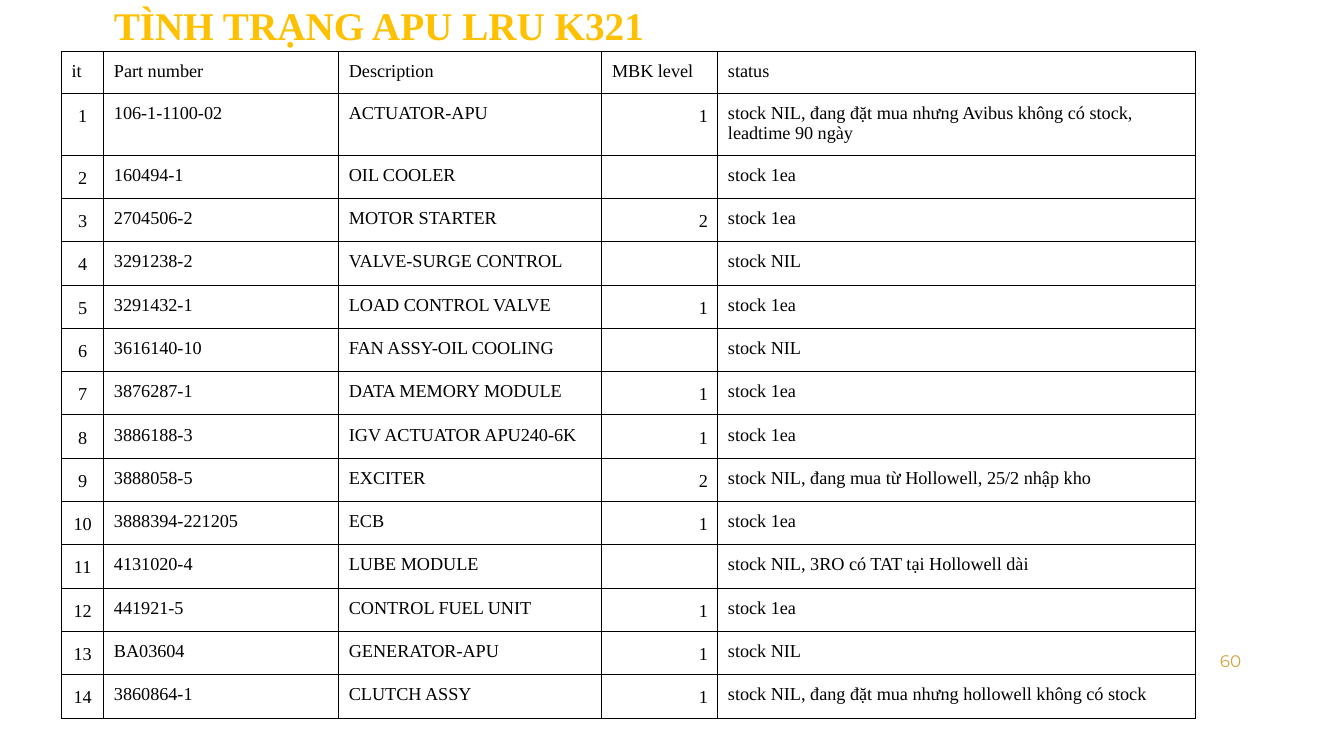
from dataclasses import dataclass

from lxml import etree
from pptx import Presentation
from pptx.dml.color import RGBColor
from pptx.enum.text import MSO_ANCHOR, PP_ALIGN
from pptx.oxml.ns import qn
from pptx.util import Inches, Pt

LEFT, MID, RIGHT = PP_ALIGN.LEFT, PP_ALIGN.CENTER, PP_ALIGN.RIGHT
CENTER = MSO_ANCHOR.MIDDLE

WIDE, HIGH = Inches(13.33), Inches(7.5)
SERIF, SANS = "Times New Roman", "Montserrat"
BLACK, AMBER, GOLD = "000000", "FFC000", "D2A43B"
PAD, FOOT = Inches(0.1), Inches(0.08)
SIZE = 13


@dataclass(frozen=True)
class Label:
    """Text box; its place is in percent of the slide."""
    text: str
    left: float
    top: float
    width: float
    height: float
    font: str
    size: int
    color: str
    bold: bool = False
    align: PP_ALIGN = LEFT
    space: float = 1.0


@dataclass(frozen=True)
class Col:
    """Table column; its width is in percent of the slide."""
    head: str
    width: float
    align: PP_ALIGN = LEFT
    space: float = 1.0


@dataclass(frozen=True)
class Part:
    """Table row; its height is in percent of the slide."""
    code: str
    name: str
    level: str
    state: str
    height: float = 5.69


LABELS = [
    Label("TÌNH TRẠNG APU LRU K321", 7.73, -1.47, 87.47, 10.4,
          SERIF, 28, AMBER, bold=True, space=0.9),
    Label("60", 70.6, 84.8, 22.5, 5.33, SANS, 12, GOLD, align=RIGHT),
]

COLS = [
    Col("it", 3.15, MID, 1.15),
    Col("Part number", 17.48),
    Col("Description", 19.58),
    Col("MBK level", 8.63, RIGHT, 1.15),
    Col("status", 35.56),
]
GRID_LEFT, GRID_TOP, HEAD = 4.58, 6.77, 5.56

PARTS = [
    Part("106-1-1100-02", "ACTUATOR-APU", "1",
         "stock NIL, đang đặt mua nhưng Avibus không có stock, leadtime 90 ngày", 7.92),
    Part("160494-1", "OIL COOLER", "", "stock 1ea"),
    Part("2704506-2", "MOTOR STARTER", "2", "stock 1ea"),
    Part("3291238-2", "VALVE-SURGE CONTROL", "", "stock NIL"),
    Part("3291432-1", "LOAD CONTROL VALVE", "1", "stock 1ea"),
    Part("3616140-10", "FAN ASSY-OIL COOLING", "", "stock NIL"),
    Part("3876287-1", "DATA MEMORY MODULE", "1", "stock 1ea"),
    Part("3886188-3", "IGV ACTUATOR APU240-6K", "1", "stock 1ea"),
    Part("3888058-5", "EXCITER", "2", "stock NIL, đang mua từ Hollowell, 25/2 nhập kho"),
    Part("3888394-221205", "ECB", "1", "stock 1ea"),
    Part("4131020-4", "LUBE MODULE", "", "stock NIL, 3RO có TAT tại Hollowell dài"),
    Part("441921-5", "CONTROL FUEL UNIT", "1", "stock 1ea"),
    Part("BA03604", "GENERATOR-APU", "1", "stock NIL"),
    Part("3860864-1", "CLUTCH ASSY", "1",
         "stock NIL, đang đặt mua nhưng hollowell không có stock"),
]


def across(share: float) -> int:
    return round(WIDE * share / 100)


def down(share: float) -> int:
    return round(HIGH * share / 100)


def paint(target, color: str) -> None:
    target.rgb = RGBColor.from_string(color)


def write(para, text: str, font: str, size: int, color: str, bold: bool = False) -> None:
    run = para.add_run()
    run.text = text
    run.font.name = font
    run.font.size = Pt(size)
    run.font.bold = bold
    paint(run.font.color, color)


def add_label(slide, label: Label) -> None:
    box = slide.shapes.add_textbox(across(label.left), down(label.top),
                                   across(label.width), down(label.height))
    frame = box.text_frame
    frame.word_wrap = True
    frame.vertical_anchor = CENTER
    para = frame.paragraphs[0]
    para.alignment = label.align
    para.line_spacing = label.space
    write(para, label.text, label.font, label.size, label.color, label.bold)


def add_edges(cell) -> None:
    props = cell._tc.get_or_add_tcPr()
    for spot, side in enumerate(("lnL", "lnR", "lnT", "lnB")):
        line = etree.Element(qn(f"a:{side}"), w=str(Pt(0.75)))
        fill = etree.SubElement(line, qn("a:solidFill"))
        etree.SubElement(fill, qn("a:srgbClr"), val=BLACK)
        props.insert(spot, line)


def fill_cell(cell, text: str, align: PP_ALIGN, space: float) -> None:
    cell.margin_left = cell.margin_right = cell.margin_top = PAD
    cell.margin_bottom = FOOT
    cell.fill.background()
    add_edges(cell)
    para = cell.text_frame.paragraphs[0]
    para.alignment = align
    para.line_spacing = space
    if text:
        write(para, text, SERIF, SIZE, BLACK)
    else:
        # Keeps an empty cell as low as a filled one
        etree.SubElement(para._p, qn("a:endParaRPr"), sz=str(SIZE * 100))


def add_grid(slide) -> None:
    rows = [HEAD] + [part.height for part in PARTS]
    width = sum(col.width for col in COLS)
    table = slide.shapes.add_table(len(rows), len(COLS), across(GRID_LEFT), down(GRID_TOP),
                                   across(width), down(sum(rows))).table
    table.first_row = table.horz_banding = False
    for row, height in zip(table.rows, rows):
        row.height = down(height)
    for x, col in enumerate(COLS):
        table.columns[x].width = across(col.width)
        fill_cell(table.cell(0, x), col.head, LEFT, 1.0)
    for y, part in enumerate(PARTS, 1):
        texts = (str(y), part.code, part.name, part.level, part.state)
        for x, (col, text) in enumerate(zip(COLS, texts)):
            fill_cell(table.cell(y, x), text, col.align, col.space)


def main() -> None:
    deck = Presentation()
    deck.slide_width, deck.slide_height = WIDE, HIGH
    slide = deck.slides.add_slide(deck.slide_layouts[6])
    # Title and page number
    for label in LABELS:
        add_label(slide, label)
    # Parts list
    add_grid(slide)
    deck.save("out.pptx")


if __name__ == "__main__":
    main()
